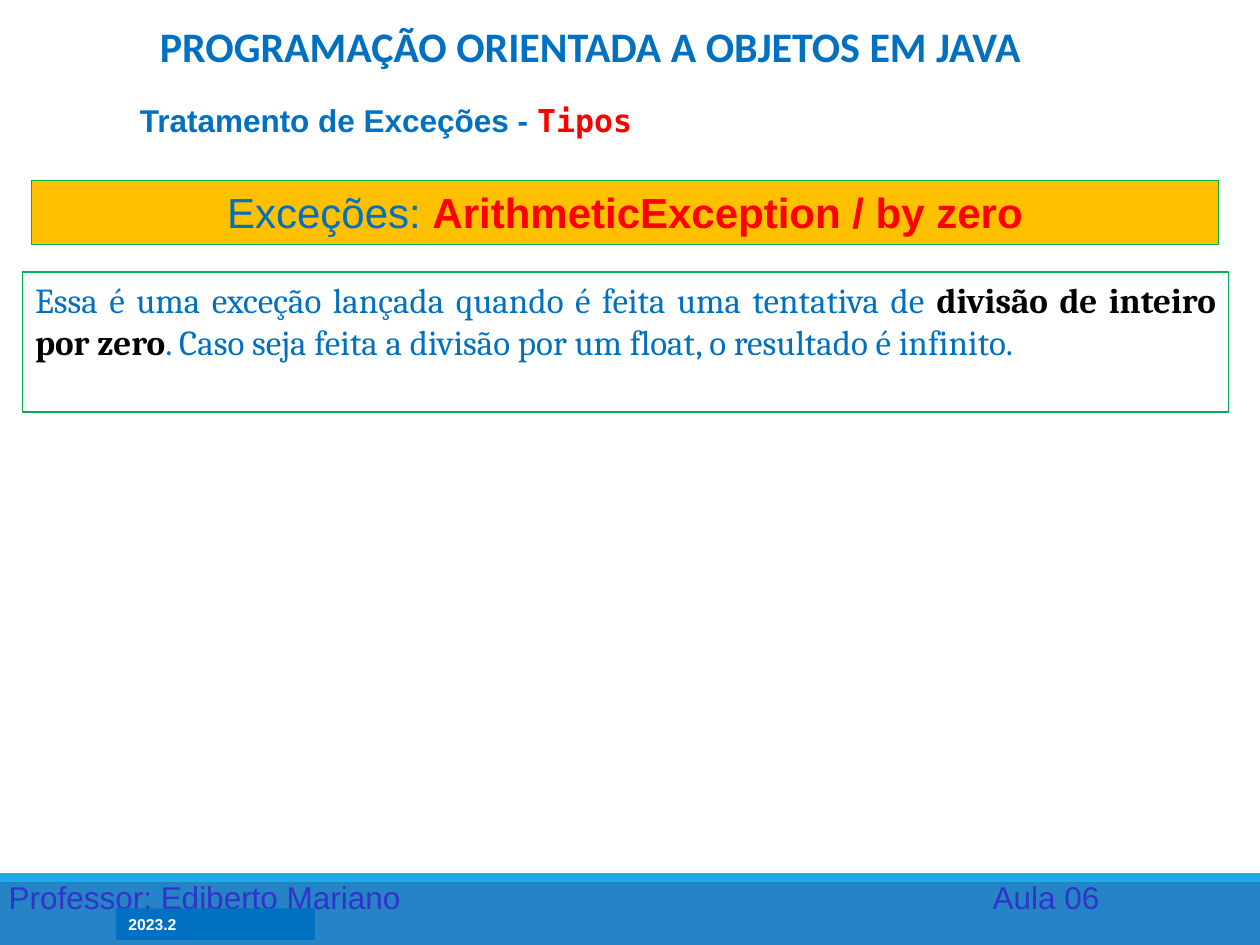
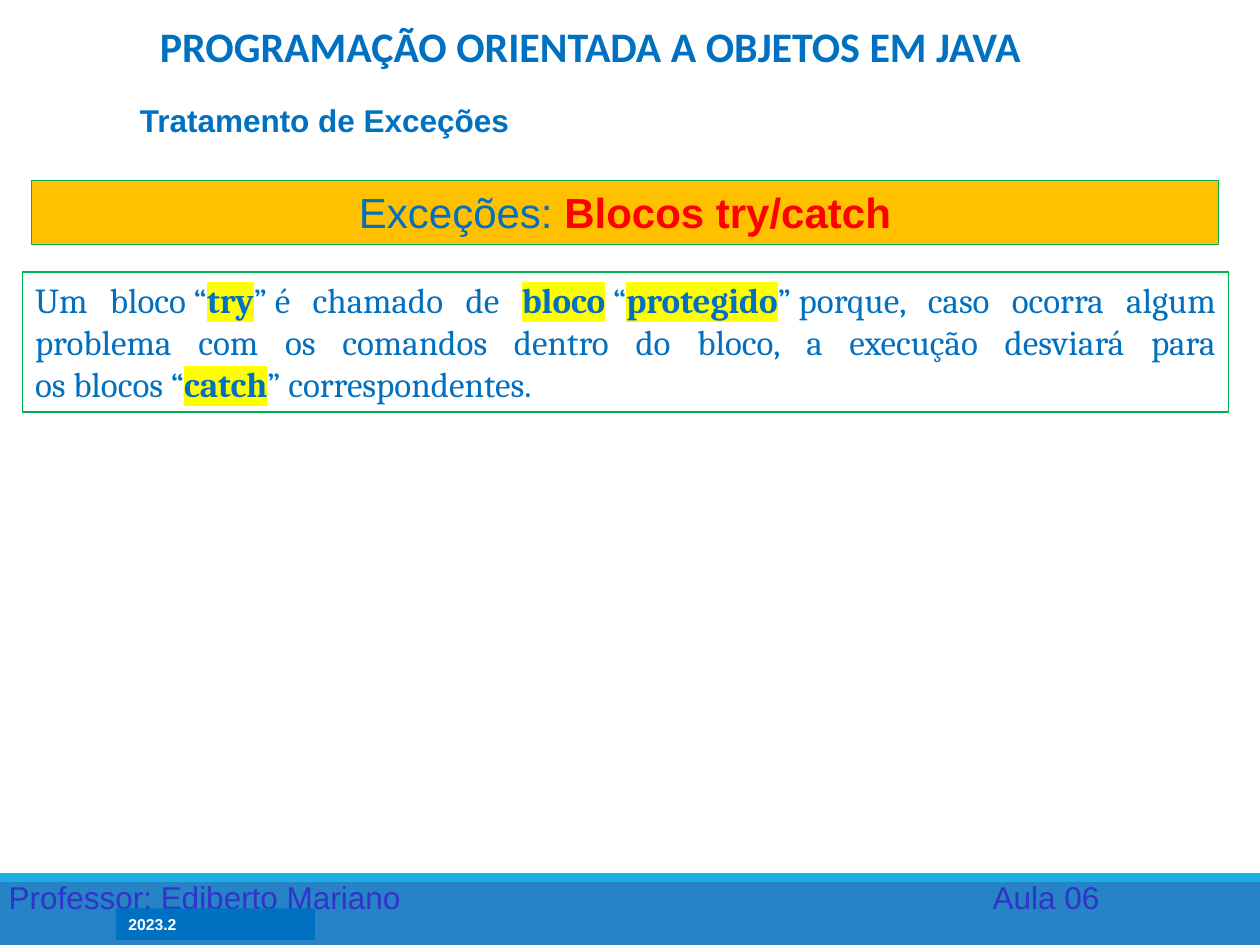
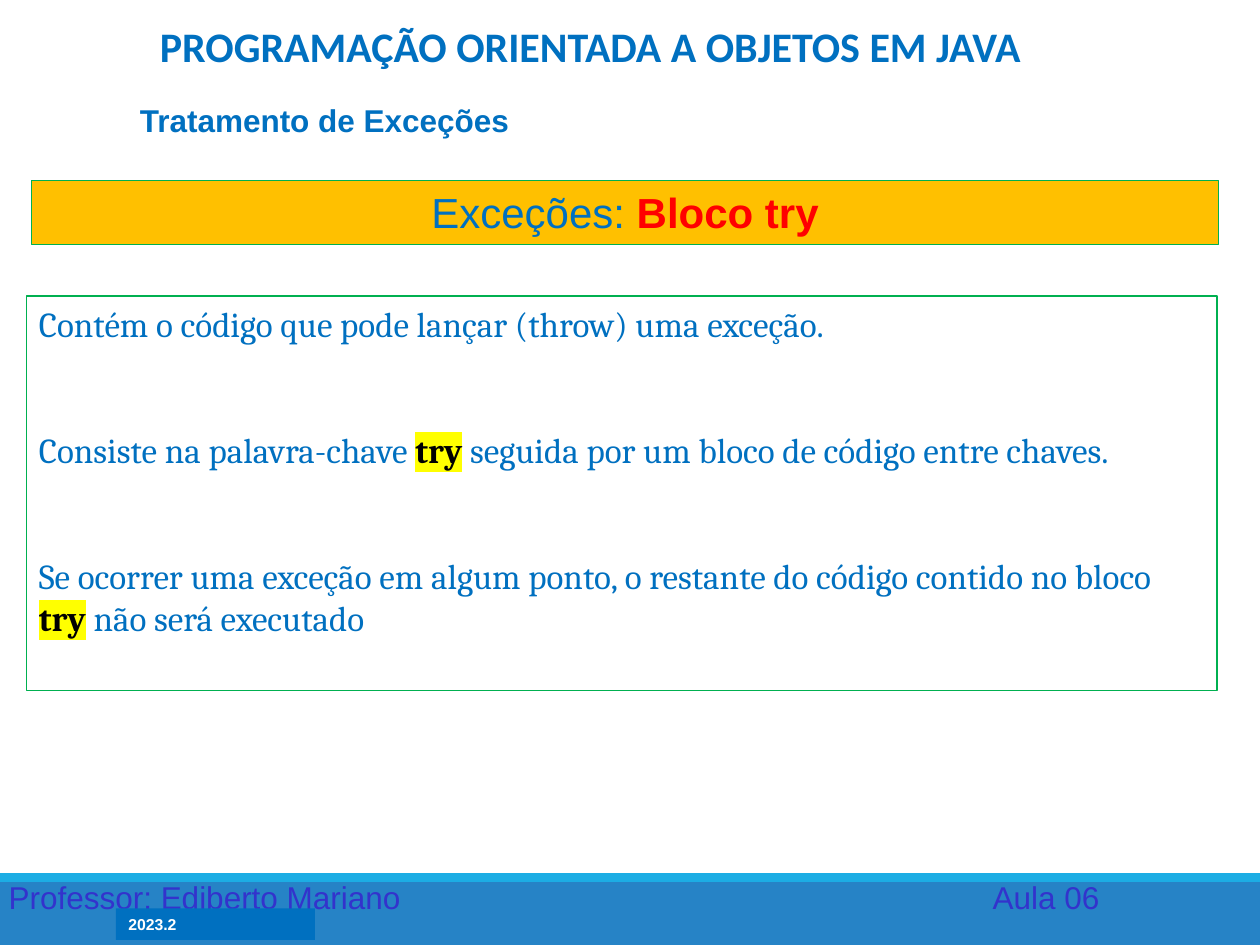
from dataclasses import dataclass, replace

from lxml import etree
from pptx import Presentation
from pptx import util as u
from pptx.dml.color import RGBColor
from pptx.enum import shapes, text
from pptx.oxml.ns import qn


@dataclass(frozen=True)
class Style:
    font: str
    size: int
    color: str
    bold: bool = False
    highlight: str = ""


class Theme:
    BLUE, RED, BLACK, WHITE = "0070C0", "FF0000", "000000", "FFFFFF"
    YELLOW, AMBER, GREEN = "FFFF00", "FFC000", "00B050"
    FOOTER_BAND, FOOTER_EDGE, FOOTER_TEXT = "2683C6", "1CADE4", "3333CC"

    title = Style("Calibri", 24, BLUE, bold=True)
    subtitle = Style("Arial", 18, BLUE, bold=True)
    subtitle_code = replace(subtitle, font="DejaVu Sans Mono", color=RED)
    banner = Style("Arial", 24, BLUE)
    banner_topic = replace(banner, color=RED, bold=True)
    body = Style("Cambria", 20, BLUE)
    strong = replace(body, color=BLACK, bold=True)
    marked = replace(body, bold=True, highlight=YELLOW)
    keyword = replace(marked, color=BLACK)
    footer = Style("Arial", 18, FOOTER_TEXT)
    term = Style("Arial", 9, WHITE, bold=True)


LEFT, CENTER, JUSTIFY = (text.PP_ALIGN.LEFT, text.PP_ALIGN.CENTER,
                         text.PP_ALIGN.JUSTIFY)
TOP, BOTTOM = text.MSO_ANCHOR.TOP, text.MSO_ANCHOR.BOTTOM
PANEL_BOX = (0.18, 2.16, 9.57, 1.11)
TRY_PANEL_BOX = (0.21, 2.35, 9.45, 3.13)
NO_BREAK_SPACE = chr(160)


def inches(box):
    return [u.Inches(length) for length in box]


def add_run(paragraph, content, style):
    run = paragraph.add_run()
    run.text = content
    font = run.font
    font.name, font.size, font.bold = style.font, u.Pt(style.size), style.bold
    font.color.rgb = RGBColor.from_string(style.color)
    if style.highlight:
        highlight = etree.Element(qn("a:highlight"))
        etree.SubElement(highlight, qn("a:srgbClr"), val=style.highlight)
        run._r.rPr.find(qn("a:solidFill")).addnext(highlight)


def write(shape, paragraphs, align=LEFT, anchor=TOP, gap=0):
    """Fill a shape with paragraphs, each a list of (text, style) runs."""
    frame = shape.text_frame
    frame.word_wrap = True
    frame.auto_size = text.MSO_AUTO_SIZE.NONE
    frame.vertical_anchor = anchor
    for index, runs in enumerate(paragraphs):
        paragraph = frame.add_paragraph() if index else frame.paragraphs[0]
        paragraph.alignment = align
        paragraph.space_before = u.Pt(gap if index else 0)
        for content, style in runs:
            add_run(paragraph, content, style)


def add_rectangle(slide, box, fill, line=None):
    shape = slide.shapes.add_shape(shapes.MSO_SHAPE.RECTANGLE, *inches(box))
    shape.shadow.inherit = False
    shape.fill.solid()
    shape.fill.fore_color.rgb = RGBColor.from_string(fill)
    if line:
        shape.line.color.rgb = RGBColor.from_string(line)
        shape.line.width = u.Pt(0.75)
    else:
        shape.line.fill.background()
    return shape


def place(shape, box):
    shape.left, shape.top, shape.width, shape.height = inches(box)


def add_heading(slide, subtitle_runs):
    title, subtitle = slide.shapes.title, slide.placeholders[1]
    place(title, (1.04, 0.09, 7.29, 0.52))
    write(title, [[("PROGRAMAÇÃO ORIENTADA A OBJETOS EM JAVA", Theme.title)]],
          CENTER, BOTTOM)
    place(subtitle, (1.01, 0.75, 4.83, 0.41))
    write(subtitle, [subtitle_runs], JUSTIFY)
    properties = subtitle.text_frame.paragraphs[0]._p.get_or_add_pPr()
    properties.set("marL", "0")
    properties.set("indent", "0")
    etree.SubElement(properties, qn("a:buNone"))


def add_banner(slide, topic):
    banner = add_rectangle(slide, (0.25, 1.43, 9.42, 0.51), Theme.AMBER, Theme.GREEN)
    write(banner, [[("Exceções: ", Theme.banner), (topic, Theme.banner_topic)]],
          CENTER)


def add_panel(slide, box, paragraphs, align=JUSTIFY, gap=0):
    panel = add_rectangle(slide, box, Theme.WHITE, Theme.GREEN)
    write(panel, paragraphs, align, gap=gap)


def add_footer(slide):
    """Draw the footer and move it to the slide's layout, shared by all slides."""
    band = add_rectangle(slide, (0, 6.93, 10, 0.57), Theme.FOOTER_BAND)
    edge = add_rectangle(slide, (0, 6.93, 10, 0.07), Theme.FOOTER_EDGE)
    credits = slide.shapes.add_textbox(*inches((-0.03, 6.92, 9, 0.4)))
    write(credits, [[("Professor: Ediberto Mariano\tAula 06", Theme.footer)]])
    properties = credits.text_frame.paragraphs[0]._p.get_or_add_pPr()
    tabs = etree.SubElement(properties, qn("a:tabLst"))
    etree.SubElement(tabs, qn("a:tab"), pos=str(u.Inches(7.81)), algn="l")
    term = add_rectangle(slide, (0.92, 7.21, 1.58, 0.25), Theme.BLUE)
    write(term, [[("2023.2", Theme.term)]])
    for shape in (band, edge, credits, term):
        slide.slide_layout.shapes.element.append(shape.element)


def main():
    presentation = Presentation()
    presentation.slide_width, presentation.slide_height = inches((10, 7.5))
    layout = presentation.slide_layouts[1]
    body, strong = Theme.body, Theme.strong
    marked, keyword = Theme.marked, Theme.keyword
    subject = ("Tratamento de Exceções", Theme.subtitle)
    opening, closing = NO_BREAK_SPACE + "“", "”" + NO_BREAK_SPACE

    slide = presentation.slides.add_slide(layout)
    add_footer(slide)
    add_heading(slide, [("Tratamento de Exceções - ", Theme.subtitle),
                        ("Tipos", Theme.subtitle_code)])
    add_panel(slide, PANEL_BOX, [[
        ("Essa é uma exceção lançada quando é feita uma tentativa de ", body),
        ("divisão de inteiro por zero", strong),
        (". Caso seja feita a divisão por um float, o resultado é infinito.", body),
    ]])
    add_banner(slide, "ArithmeticException / by zero")

    slide = presentation.slides.add_slide(layout)
    add_heading(slide, [subject])
    add_panel(slide, PANEL_BOX, [[
        (f"Um bloco{opening}", body), ("try", marked),
        (f"{closing}é chamado de ", body), ("bloco", marked),
        (opening, body), ("protegido", marked),
        (f"{closing}porque, caso ocorra algum problema com os comandos dentro do "
         f"bloco, a execução desviará para os{NO_BREAK_SPACE}blocos{opening}", body),
        ("catch", marked), (f"{closing}correspondentes.", body),
    ]])
    add_banner(slide, "Blocos try/catch")

    slide = presentation.slides.add_slide(layout)
    add_heading(slide, [subject])
    add_banner(slide, "Bloco try")
    add_panel(slide, TRY_PANEL_BOX, [
        [("Contém o código que pode lançar (throw) uma exceção.", body)],
        [("Consiste na palavra-chave ", body), ("try", keyword),
         (" seguida por um bloco de código entre chaves.", body)],
        [("Se ocorrer uma exceção em algum ponto, o restante do código contido "
          "no bloco ", body), ("try", keyword), (" não será executado", body)],
    ], LEFT, gap=48)

    presentation.save("out.pptx")


if __name__ == "__main__":
    main()
